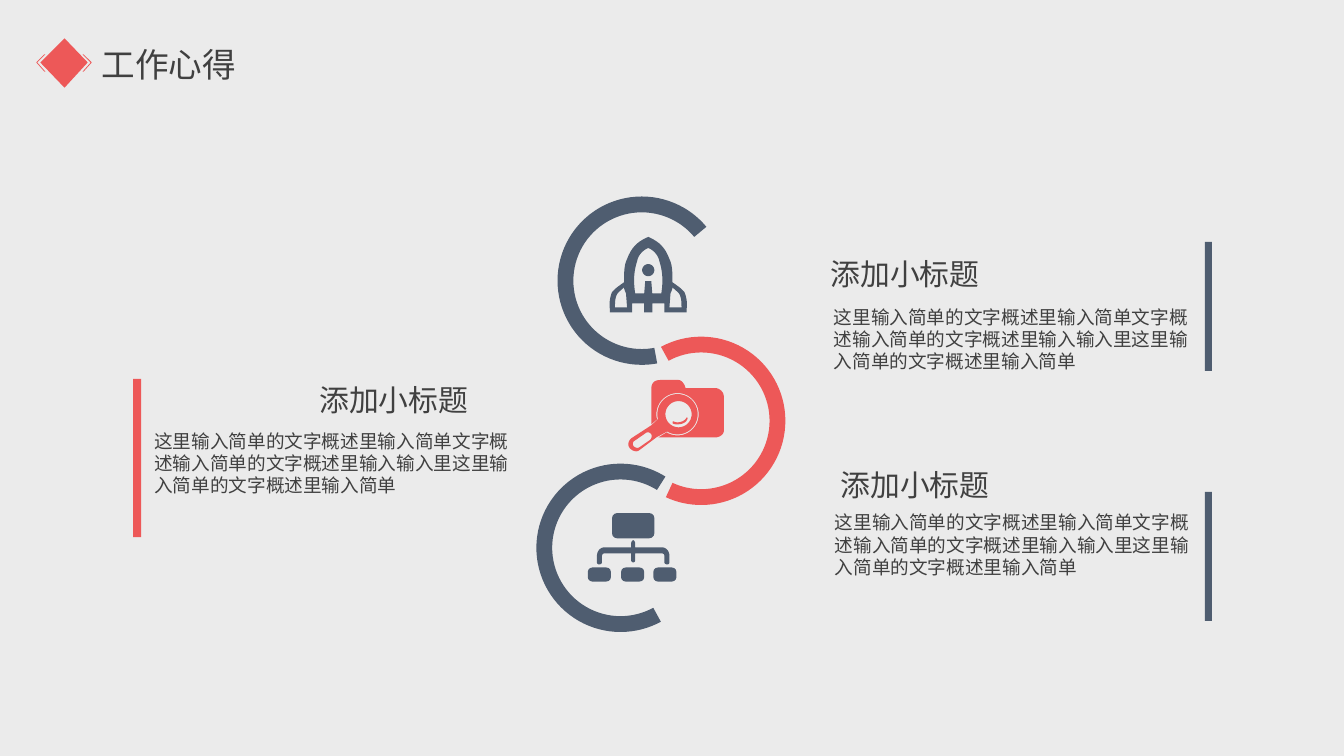
"""Build the work insights slide with three linked rings and notes."""
from math import cos, radians, sin

from lxml import etree
from pptx import Presentation
from pptx.dml.color import RGBColor
from pptx.enum.shapes import MSO_SHAPE
from pptx.oxml.ns import qn
from pptx.util import Inches, Pt

RECT = MSO_SHAPE.RECTANGLE
ROUND = MSO_SHAPE.ROUNDED_RECTANGLE
ARC = MSO_SHAPE.BLOCK_ARC

PAPER = RGBColor(0xEB, 0xEB, 0xEB)
RED = RGBColor(0xED, 0x58, 0x58)
SLATE = RGBColor(0x4F, 0x5D, 0x70)
INK = RGBColor(0x40, 0x40, 0x40)
FONT = "Noto Sans CJK SC"

BODY = ("这里输入简单的文字概述里输入简单文字概述输入简单的文字概述里"
        "输入输入里这里输入简单的文字概述里输入简单")


def paint(shape, color):
    """Give a shape a flat fill without line or shadow."""
    shape.shadow.inherit = False
    shape.fill.solid()
    shape.fill.fore_color.rgb = color
    shape.line.fill.background()
    return shape


def block(shapes, kind, box, color, *adjust):
    """Add a filled preset shape."""
    shape = paint(shapes.add_shape(kind, *map(Inches, box)), color)
    for index, value in enumerate(adjust):
        shape.adjustments[index] = value


def write(shapes, text, box, size=13.3, wrap=True, inset=(0.1, 0.05)):
    """Add a text box with one formatted paragraph."""
    frame = shapes.add_textbox(*map(Inches, box)).text_frame
    frame.word_wrap = wrap
    frame.margin_left = frame.margin_right = Inches(inset[0])
    frame.margin_top = frame.margin_bottom = Inches(inset[1])
    run = frame.paragraphs[0].add_run()
    run.text = text
    run.font.name = FONT
    run.font.size = Pt(size)
    run.font.color.rgb = INK
    etree.SubElement(run.font._element, qn("a:ea"), typeface=FONT)


def trace(*steps):
    """Turn corners and cubic curves into a list of points."""
    points = []
    for step in steps:
        if len(step) == 2:
            points.append(step)
            continue
        x, y = points[-1]
        a, b, c, d, e, f = step
        for part in range(1, 9):
            t = part / 8
            u = 1 - t
            points.append((
                u**3 * x + 3 * u * u * t * a + 3 * u * t * t * c + t**3 * e,
                u**3 * y + 3 * u * u * t * b + 3 * u * t * t * d + t**3 * f))
    return points


def sweep(x, y, radius, start=0, end=360):
    """Return points along a circular arc."""
    turns = [radians(start + (end - start) * k / 48) for k in range(49)]
    return [(x + radius * cos(t), y + radius * sin(t)) for t in turns]


def flip(points, axis):
    """Mirror points left to right."""
    return [(2 * axis - x, y) for x, y in reversed(points)]


def draw(shapes, left, top, color, *loops):
    """Add one outline made of closed loops."""
    loops = [[(Inches(left + x), Inches(top + y)) for x, y in loop]
             for loop in loops]
    pen = shapes.build_freeform(*loops[0][0], scale=1.0)
    for loop in loops:
        if loop is not loops[0]:
            pen.move_to(*loop[0])
        pen.add_line_segments(loop[1:], close=True)
    paint(pen.convert_to_shape(), color)


def header(shapes, left, top):
    """Place the diamond mark and the slide title."""
    wing = [(0.46, 0.16), (0.47, 0.16), (0.55, 0.24),
            (0.47, 0.33), (0.46, 0.33), (0.54, 0.24)]
    gem = [(0.28, 0), (0.51, 0.24), (0.28, 0.49), (0.04, 0.24)]
    draw(shapes, left, top, RED, wing, flip(wing, 0.275), gem)
    write(shapes, "工作心得", (left + 0.55, top + 0.01, 1.55, 0.5),
          size=24, wrap=False)


def note(shapes, left, top, head, bar, color):
    """Place a note: body at the corner, heading and bar around it."""
    x, y = head
    write(shapes, "添加小标题", (left + x, top + y, 1.96, 0.46), size=21.3)
    write(shapes, BODY, (left, top, 3.82, 1.05), inset=(0.13, 0.07))
    x, y, wide, high = bar
    block(shapes, RECT, (left + x, top + y, wide, high), color)


def ring(shapes, left, top, start, end, color):
    """Place an open ring between two clockwise angles in degrees."""
    block(shapes, ARC, (left, top, 1.67, 1.67), color,
          start * 0.6, end * 0.6, 0.094)


def rocket(shapes, left, top):
    """Place the rocket icon."""
    axis = 0.39
    hull = trace((axis, 0), (0.41, 0.01), (0.5, 0.05, 0.56, 0.11, 0.6, 0.22),
                 (0.63, 0.28, 0.63, 0.35, 0.63, 0.45),
                 (0.67, 0.48, 0.72, 0.51, 0.75, 0.55),
                 (0.77, 0.6, 0.78, 0.66, 0.77, 0.72), (0.77, 0.75),
                 (0.55, 0.75), (0.55, 0.66), (0.43, 0.66), (0.43, 0.75))
    cabin = trace((axis, 0.11), (0.44, 0.13, 0.49, 0.18, 0.5, 0.24),
                  (0.53, 0.33, 0.54, 0.43, 0.52, 0.56),
                  (0.43, 0.56), (0.42, 0.44))
    fin = trace((0.61, 0.57), (0.6, 0.7), (0.72, 0.7),
                (0.72, 0.65, 0.72, 0.61, 0.7, 0.57),
                (0.69, 0.55, 0.66, 0.53, 0.63, 0.5),
                (0.63, 0.53, 0.61, 0.55, 0.61, 0.57))
    draw(shapes, left, top, SLATE, hull + flip(hull, axis),
         cabin + flip(cabin, axis), fin, flip(fin, axis),
         sweep(axis, 0.33, 0.06))


def search(shapes, left, top):
    """Place the folder and magnifier icon."""
    parts = shapes.add_group_shape().shapes
    folder = trace((0.86, 0.08), (0.57, 0.08), (0.56, 0.04, 0.53, 0, 0.5, 0),
                   (0.32, 0), (0.25, 0, 0.23, 0.04, 0.23, 0.09), (0.23, 0.44),
                   *sweep(0.49, 0.34, 0.21, 166, 481), (0.3, 0.57),
                   (0.86, 0.57), (0.91, 0.57, 0.95, 0.54, 0.95, 0.5),
                   (0.95, 0.17), (0.95, 0.12, 0.91, 0.08, 0.86, 0.08))
    glass = trace(*sweep(0.49, 0.34, 0.2, 166, 481), (0.28, 0.57),
                  (0.12, 0.69), (0.09, 0.72, 0.05, 0.71, 0.02, 0.68),
                  (-0.01, 0.65, 0, 0.61, 0.03, 0.58), (0.23, 0.45))
    slot = trace((0.21, 0.6), (0.11, 0.67), (0.09, 0.68, 0.06, 0.67, 0.05, 0.65),
                 (0.04, 0.63, 0.05, 0.61, 0.07, 0.6), (0.17, 0.53),
                 (0.19, 0.51, 0.22, 0.52, 0.23, 0.54),
                 (0.24, 0.56, 0.23, 0.59, 0.21, 0.6))
    glint = trace((0.58, 0.37), (0.57, 0.4, 0.53, 0.42, 0.49, 0.42),
                  (0.48, 0.42, 0.47, 0.42, 0.45, 0.41),
                  (0.44, 0.41, 0.44, 0.42, 0.44, 0.43),
                  (0.46, 0.44, 0.47, 0.44, 0.49, 0.44),
                  (0.54, 0.44, 0.58, 0.42, 0.59, 0.38),
                  (0.59, 0.37, 0.58, 0.37, 0.58, 0.37))
    draw(parts, left, top, RED, folder)
    draw(parts, left, top, RED, glass, slot, sweep(0.5, 0.34, 0.13))
    draw(parts, left, top, RED, glint)


def tree(shapes, left, top):
    """Place the hierarchy icon."""
    parts = shapes.add_group_shape().shapes
    axis = 0.45
    limb = trace((axis, 0.27), (0.46, 0.27, 0.47, 0.29, 0.47, 0.3),
                 (0.47, 0.34), (0.73, 0.34), (0.78, 0.34, 0.81, 0.38, 0.81, 0.43),
                 (0.81, 0.49), (0.81, 0.5, 0.8, 0.51, 0.79, 0.51),
                 (0.77, 0.51, 0.76, 0.5, 0.76, 0.49), (0.76, 0.43),
                 (0.76, 0.41, 0.75, 0.4, 0.73, 0.4), (0.47, 0.4),
                 (0.47, 0.47), (0.47, 0.48, 0.46, 0.49, axis, 0.49))
    draw(parts, left, top, SLATE, limb + flip(limb, axis))
    for x in (0, 0.33, 0.65):
        block(parts, ROUND, (left + x, top + 0.54, 0.23, 0.14), SLATE, 0.33)
    block(parts, ROUND, (left + 0.24, top, 0.42, 0.25), SLATE, 0.2)


def main():
    """Build and save the slide."""
    deck = Presentation()
    deck.slide_width, deck.slide_height = Inches(13.33), Inches(7.5)
    slide = deck.slides.add_slide(deck.slide_layouts[6])
    slide.background.fill.solid()
    slide.background.fill.fore_color.rgb = PAPER
    shapes = slide.shapes
    header(shapes, 0.36, 0.38)
    note(shapes, 8.14, 2.96, (0, -0.47), (3.81, -0.56, 0.07, 1.28), SLATE)
    note(shapes, 8.15, 5, (0.09, -0.42), (3.8, -0.12, 0.07, 1.28), SLATE)
    note(shapes, 1.4, 4.19, (1.67, -0.45), (-0.08, -0.43, 0.08, 1.57), RED)
    ring(shapes, 5.53, 1.95, 79.4, 320.2, SLATE)
    ring(shapes, 6.12, 3.34, 241.5, 114.8, RED)
    ring(shapes, 5.32, 4.6, 61.4, 302.2, SLATE)
    rocket(shapes, 6.04, 2.35)
    search(shapes, 6.23, 3.77)
    tree(shapes, 5.83, 5.09)
    deck.save("out.pptx")


if __name__ == "__main__":
    main()
